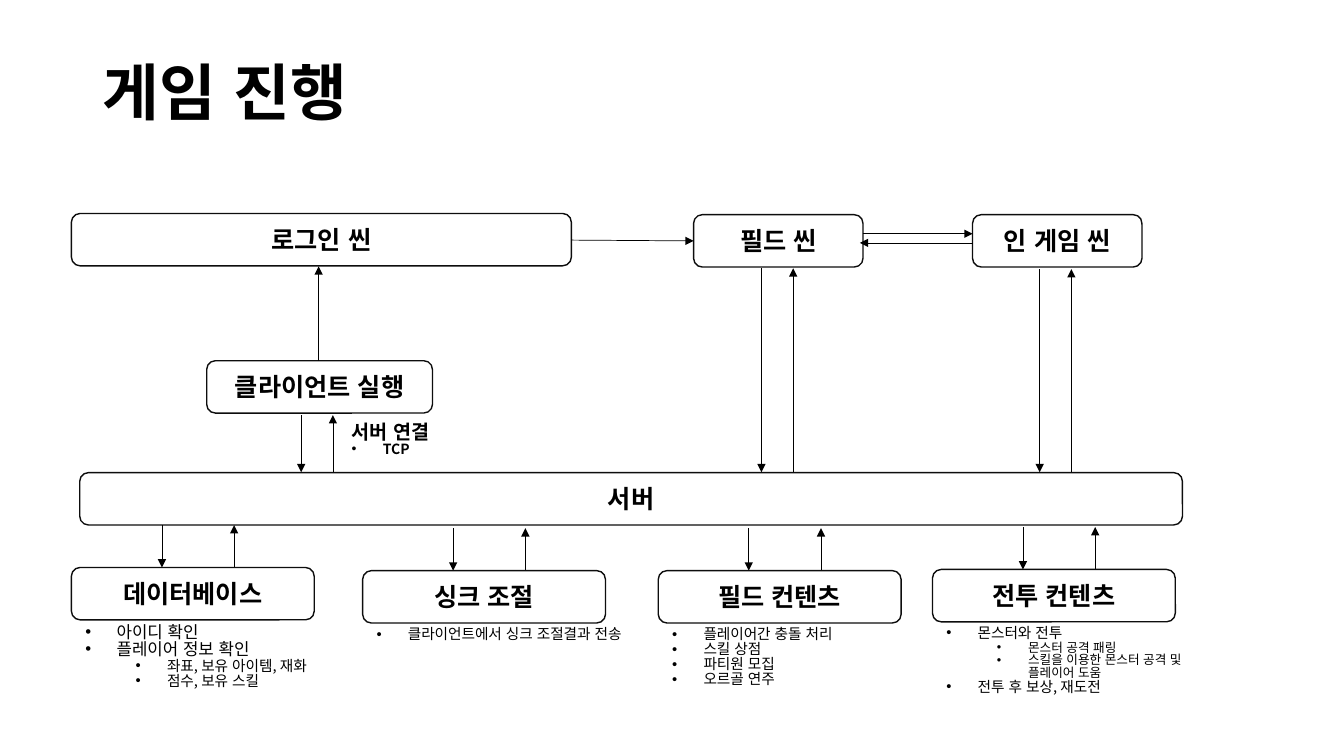
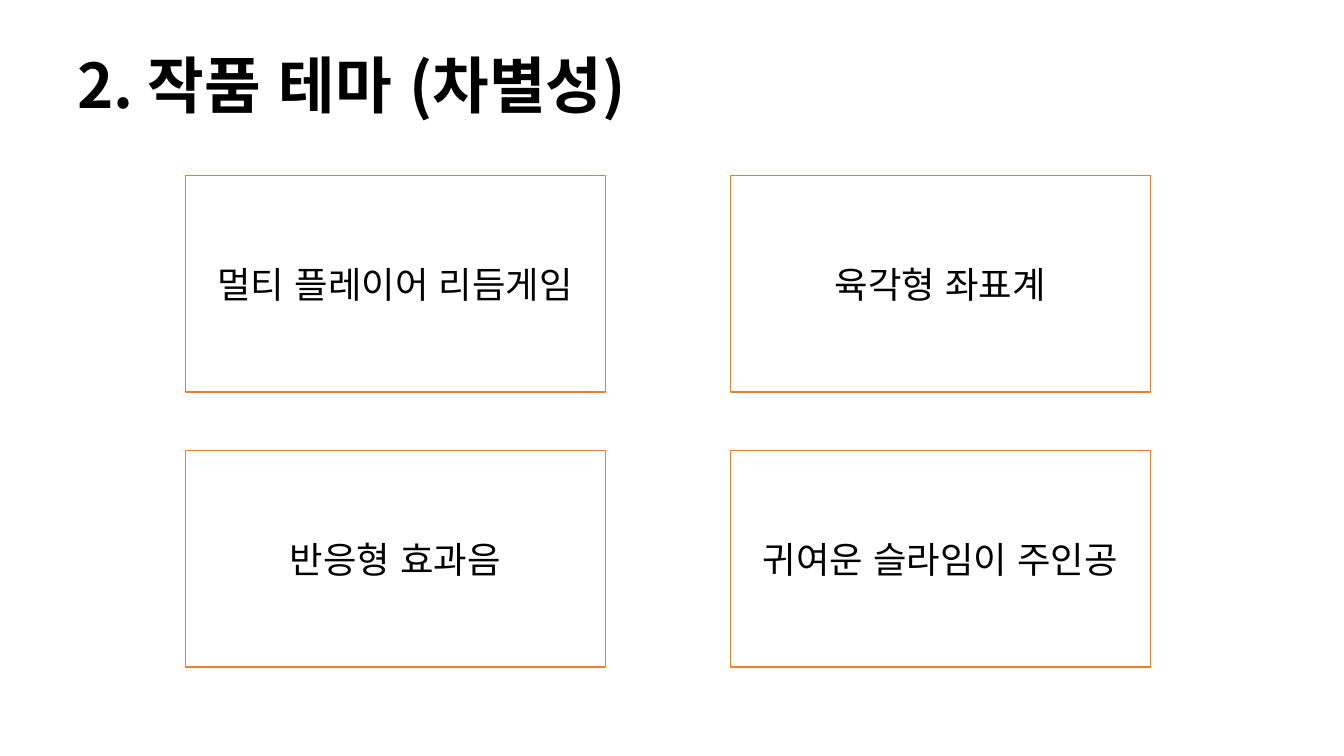
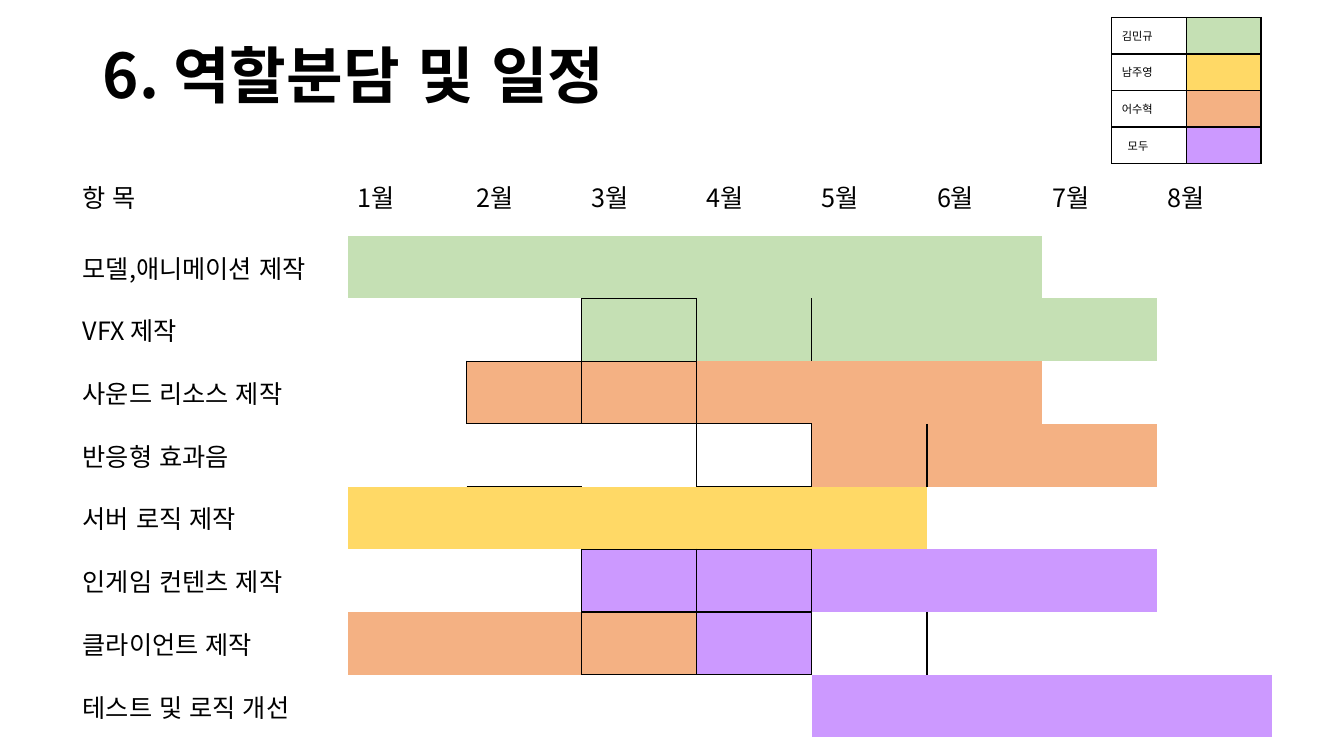
from itertools import product

from lxml import etree
from pptx import Presentation
from pptx.dml.color import RGBColor
from pptx.enum import lang, shapes, text
from pptx.oxml import ns
from pptx.util import Cm, Pt

FONT = "Noto Sans CJK KR"
BLACK = RGBColor(0x00, 0x00, 0x00)
OUTLINE = RGBColor(0x0D, 0x0D, 0x0D)
WHITE = RGBColor(0xFF, 0xFF, 0xFF)
ORANGE = RGBColor(0xED, 0x7D, 0x31)
GREEN = RGBColor(0xC5, 0xE0, 0xB4)
YELLOW = RGBColor(0xFF, 0xD9, 0x66)
PEACH = RGBColor(0xF4, 0xB1, 0x83)
PURPLE = RGBColor(0xCC, 0x99, 0xFF)

PLAIN_TABLE = "{2D5ABB26-0587-4C30-8999-92F81FD0307C}"
BOX_HEIGHT = 1.32

# Heading, left, top, and list lines as (level, size, text)
MODULES = [
    ("데이터베이스", 1.8, 14.3, [
        (0, 12, "아이디 확인"),
        (0, 12, "플레이어 정보 확인"),
        (1, 10.5, "좌표, 보유 아이템, 재화"),
        (1, 10.5, "점수, 보유 스킬")]),
    ("싱크 조절", 9.14, 14.38, [
        (0, 10.5, "클라이언트에서 싱크 조절결과 전송")]),
    ("필드 컨텐츠", 16.59, 14.38, [
        (0, 10.5, "플레이어간 충돌 처리"),
        (0, 10.5, "스킬 상점"),
        (0, 10.5, "파티원 모집"),
        (0, 10.5, "오르골 연주")]),
    ("전투 컨텐츠", 23.5, 14.35, [
        (0, 10.5, "몬스터와 전투"),
        (1, 9, "몬스터 공격 패링"),
        (1, 9, "스킬을 이용한 몬스터 공격 및\n플레이어 도움"),
        (0, 10.5, "전투 후 보상, 재도전")]),
]

THEMES = [["멀티 플레이어 리듬게임", "육각형 좌표계"],
          ["반응형 효과음", "귀여운 슬라임이 주인공"]]

# Task and its bars as (first month, last month, colour)
TASKS = [
    ("모델,애니메이션 제작", [(1, 6, GREEN)]),
    ("VFX 제작", [(3, 7, GREEN)]),
    ("사운드 리소스 제작", [(2, 6, PEACH)]),
    ("반응형 효과음", [(5, 7, PEACH)]),
    ("서버 로직 제작", [(1, 5, YELLOW)]),
    ("인게임 컨텐츠 제작", [(3, 7, PURPLE)]),
    ("클라이언트 제작", [(1, 3, PEACH), (4, 4, PURPLE)]),
    ("테스트 및 로직 개선", [(5, 8, PURPLE)]),
]
MONTHS = 8

# Black cell edges by (row, month)
EDGES = {
    (1, 3): "B",
    (2, 2): "RB", (2, 3): "LRTB", (2, 4): "L",
    (3, 1): "R", (3, 2): "LRTB", (3, 3): "LT", (3, 4): "B",
    (4, 2): "T", (4, 3): "R", (4, 4): "LRTB", (4, 5): "L",
    (5, 3): "B", (5, 4): "T",
    (6, 2): "R", (6, 3): "LRTB", (6, 4): "LB",
    (7, 2): "R", (7, 3): "LRTB", (7, 4): "LRTB", (7, 5): "L",
    (8, 3): "T", (8, 4): "T",
}

# Name, colour, left inset
MEMBERS = [("김민규", GREEN, 0.25), ("남주영", YELLOW, 0.25),
           ("어수혁", PEACH, 0.25), ("모두", PURPLE, 0.4)]


def add_xml(parent, tag, **attributes):
    return etree.SubElement(parent, ns.qn(tag), attributes)


def write(para, words, size, bold=False):
    for number, line in enumerate(words.split("\n")):
        if number:
            para.add_line_break()
        span = para.add_run()
        span.text = line
        span.font.size = Pt(size)
        span.font.bold = bold
        span.font.color.rgb = BLACK
        span.font.name = FONT
        span.font.language_id = lang.MSO_LANGUAGE_ID.KOREAN
        add_xml(span._r.get_or_add_rPr(), "a:ea", typeface=FONT)


def add_page(deck, title, left, top, height):
    page = deck.slides.add_slide(deck.slide_layouts[5])
    box = page.shapes.title
    box.left, box.top, box.width, box.height = Cm(left), Cm(top), Cm(29.21), Cm(height)
    box.text_frame.auto_size = text.MSO_AUTO_SIZE.NONE
    box.text_frame.vertical_anchor = text.MSO_ANCHOR.MIDDLE
    para = box.text_frame.paragraphs[0]
    para.alignment = text.PP_ALIGN.LEFT
    para.line_spacing = 0.9
    write(para, title, 44, True)
    return page


def add_box(page, words, left, top, width, height=BOX_HEIGHT, size=18, bold=True,
            preset=shapes.MSO_SHAPE.ROUNDED_RECTANGLE, fill=None, line=OUTLINE):
    box = page.shapes.add_shape(preset, Cm(left), Cm(top), Cm(width), Cm(height))
    box.shadow.inherit = False
    if fill is None:
        box.fill.background()
    else:
        box.fill.solid()
        box.fill.fore_color.rgb = fill
    box.line.color.rgb = line
    box.line.width = Pt(1)
    box.text_frame.word_wrap = True
    box.text_frame.vertical_anchor = text.MSO_ANCHOR.MIDDLE
    para = box.text_frame.paragraphs[0]
    para.alignment = text.PP_ALIGN.CENTER
    write(para, words, size, bold)


def add_arrow(page, x1, y1, x2, y2):
    arrow = page.shapes.add_connector(
        shapes.MSO_CONNECTOR.STRAIGHT, Cm(x1), Cm(y1), Cm(x2), Cm(y2))
    arrow.line.color.rgb = BLACK
    arrow.line.width = Pt(0.5)
    add_xml(arrow.line._get_or_add_ln(), "a:tailEnd", type="triangle")
    add_xml(arrow.element.spPr, "a:effectLst")


def add_arrow_pair(page, left, gap, top, bottom):
    """Draw one arrow down and, a gap to its right, one up."""
    add_arrow(page, left, top, left, bottom)
    add_arrow(page, left + gap, bottom, left + gap, top)


def add_list(page, lines, left, top, width, height, bold=False):
    """Lines are (level, size, words); a level of None has no bullet."""
    frame = page.shapes.add_textbox(Cm(left), Cm(top), Cm(width), Cm(height)).text_frame
    frame.word_wrap = True
    for number, (level, size, words) in enumerate(lines):
        para = frame.add_paragraph() if number else frame.paragraphs[0]
        para.line_spacing = 0.85
        if level is not None:
            para.level = level
            properties = para._p.get_or_add_pPr()
            properties.set("marL", str(Cm(0.79 + 1.27 * level)))
            properties.set("indent", str(Cm(-0.79)))
            add_xml(properties, "a:buFont", typeface="Arial")
            add_xml(properties, "a:buChar", char="•")
        write(para, words, size, bold)


def add_module(page, heading, left, top, lines):
    """Draw a server module: arrows above, heading box, list below."""
    add_arrow_pair(page, left + 2.28, 1.82, top - 1.07, top)
    add_box(page, heading, left, top, 6.12)
    add_list(page, lines, left + 0.1, top + BOX_HEIGHT, 7.5, 2.2)


def add_flow_page(deck):
    page = add_page(deck, "게임 진행", 2.34, 1.02, 2.79)
    for words, left, top, width in [
            ("클라이언트 실행", 5.21, 9.09, 5.69),
            ("로그인 씬", 1.8, 5.38, 12.6),
            ("필드 씬", 17.48, 5.41, 4.27),
            ("인 게임 씬", 24.51, 5.41, 4.27),
            ("서버", 2.01, 11.91, 27.79)]:
        add_box(page, words, left, top, width)
    for ends in [(14.4, 6.05, 17.48, 6.07), (21.74, 5.89, 24.51, 5.89),
                 (24.51, 6.12, 21.67, 6.12), (8.03, 9.09, 8.03, 6.71)]:
        add_arrow(page, *ends)
    for left, top in [(7.59, 10.46), (19.19, 6.76), (26.2, 6.78)]:
        add_arrow_pair(page, left, 0.8, top, 11.9)
    add_list(page, [(None, 14, "서버 연결"), (0, 10, "TCP")],
             8.61, 10.54, 2.84, 1.27, bold=True)
    for module in MODULES:
        add_module(page, *module)


def add_theme_page(deck):
    page = add_page(deck, "2. 작품 테마 (차별성)", 1.7, 0.38, 3.68)
    for row, column in product(range(2), range(2)):
        add_box(page, THEMES[row][column], 4.67 + 13.74 * column, 4.42 + 6.93 * row,
                10.59, 5.46, size=26, bold=False,
                preset=shapes.MSO_SHAPE.RECTANGLE, fill=WHITE, line=ORANGE)


def add_plain_table(page, left, top, widths, heights):
    frame = page.shapes.add_table(len(heights), len(widths), Cm(left), Cm(top),
                                  Cm(sum(widths)), Cm(sum(heights)))
    table = frame.table
    table.first_row = table.horz_banding = False
    table._tbl.tblPr.find(ns.qn("a:tableStyleId")).text = PLAIN_TABLE
    for column, width in zip(table.columns, widths):
        column.width = Cm(width)
    for row, height in zip(table.rows, heights):
        row.height = Cm(height)
    return table


def format_cell(cell, fill=None, edges=""):
    properties = cell._tc.get_or_add_tcPr()
    for side in edges:
        line = add_xml(properties, "a:ln" + side, w=str(Pt(1)))
        color = add_xml(add_xml(line, "a:solidFill"), "a:srgbClr")
        color.set("val", str(BLACK))
    if fill is None:
        cell.fill.background()
    else:
        cell.fill.solid()
        cell.fill.fore_color.rgb = fill


def add_schedule(page, left, top):
    table = add_plain_table(page, left, top, [6.93, 3] + [2.9] * (MONTHS - 1),
                            [1.98] + [1.58] * len(TASKS))
    header = ["항 목"] + [f"{month}월" for month in range(1, MONTHS + 1)]
    labels = {(0, column): words for column, words in enumerate(header)}
    fills = {}
    for row, (task, bars) in enumerate(TASKS, 1):
        labels[row, 0] = task
        for first, last, color in bars:
            fills.update({(row, month): color for month in range(first, last + 1)})
    for place in product(range(len(TASKS) + 1), range(MONTHS + 1)):
        cell = table.cell(*place)
        cell.vertical_anchor = text.MSO_ANCHOR.MIDDLE
        format_cell(cell, fills.get(place), EDGES.get(place, ""))
        if place in labels:
            write(cell.text_frame.paragraphs[0], labels[place], 18)


def add_legend(page, left, top):
    table = add_plain_table(page, left, top, [1.88] * 2, [0.92] * len(MEMBERS))
    for row, (member, color, inset) in enumerate(MEMBERS):
        name, swatch = table.cell(row, 0), table.cell(row, 1)
        name.margin_left = Cm(inset)
        name.margin_right = name.margin_top = name.margin_bottom = Cm(0.25)
        format_cell(name, edges="LRTB")
        write(name.text_frame.paragraphs[0], member, 8)
        format_cell(swatch, color, "LRTB")
        add_xml(swatch.text_frame.paragraphs[0]._p, "a:endParaRPr", sz="800")


def add_schedule_page(deck):
    page = add_page(deck, "6. 역할분담 및 일정", 2.34, 0.15, 3.68)
    add_schedule(page, 1.83, 3.96)
    add_legend(page, 28.02, 0.44)


def main():
    deck = Presentation()
    deck.slide_width, deck.slide_height = Cm(33.87), Cm(19.05)
    add_flow_page(deck)
    add_theme_page(deck)
    add_schedule_page(deck)
    deck.save("out.pptx")


if __name__ == "__main__":
    main()
